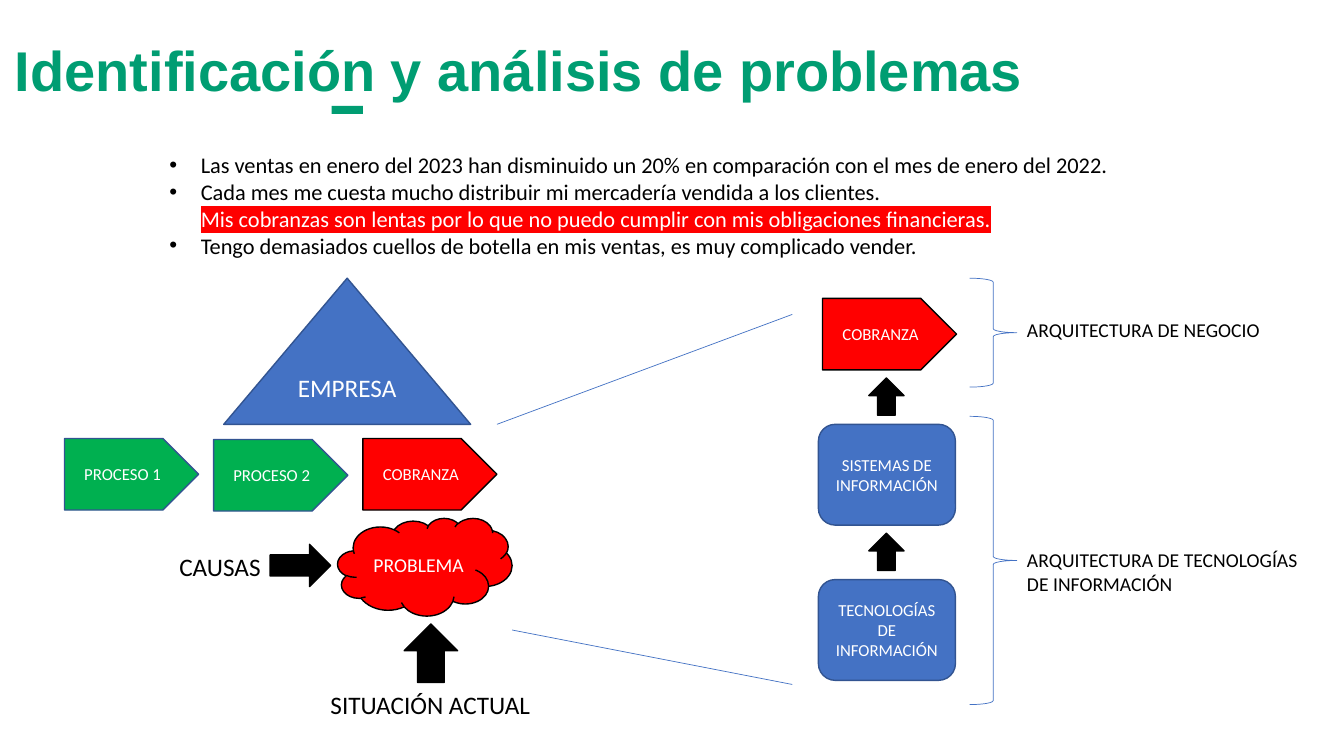
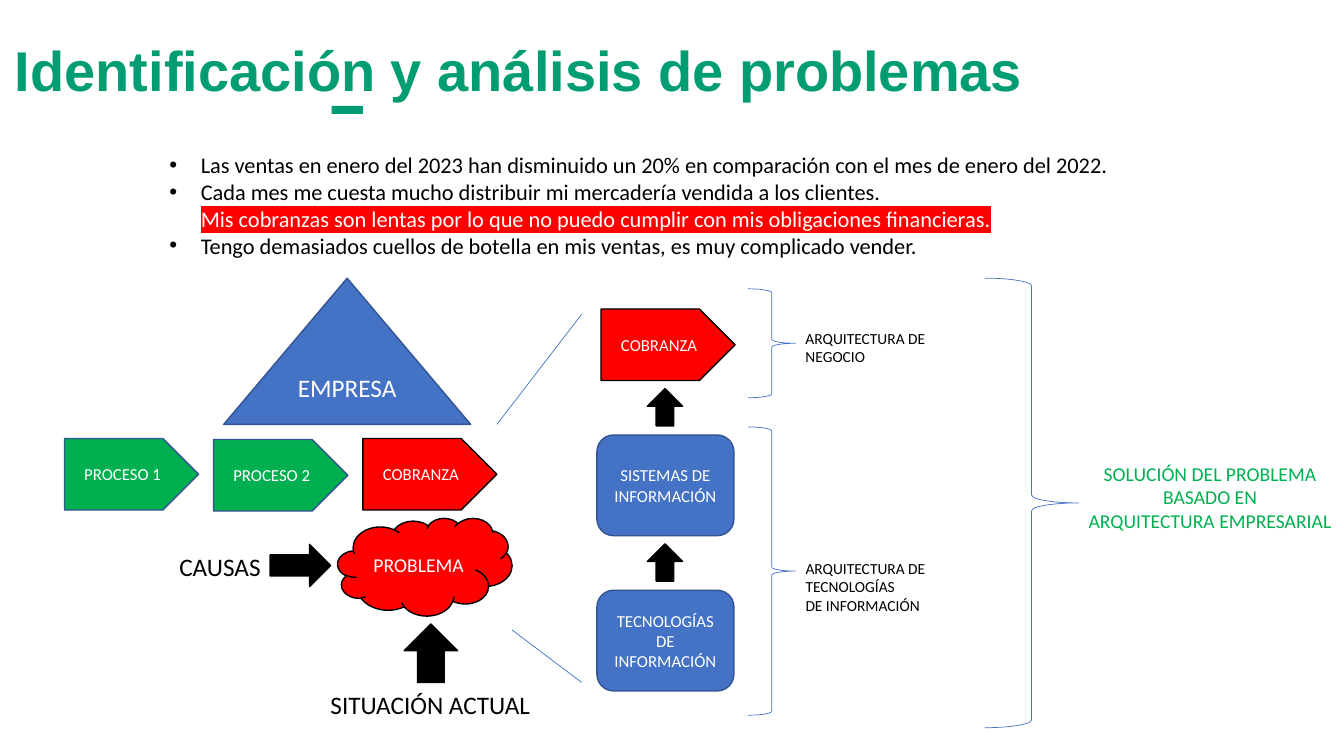
from pptx import Presentation
from pptx.dml.color import RGBColor
from pptx.enum import shapes, text
from pptx.oxml import parse_xml
from pptx.oxml.ns import nsdecls
from pptx.util import Pt

THEME = {
    "color": {"title": "009D72", "blue": "4472C4", "edge": "325491",
              "green": "00B050", "red": "FF0000", "black": "000000",
              "white": "FFFFFF"},
    "size": {"title": 40, "big": 18, "body": 16, "label": 14,
             "step": 12, "small": 11},
    "font": {"title": "Arial", "body": "Calibri"},
    "line": {"thin": 0.5, "edge": 1},
}
SHAPE = shapes.MSO_SHAPE
LEFT, MID = text.PP_ALIGN.LEFT, text.PP_ALIGN.CENTER
TOP, CENTER = text.MSO_ANCHOR.TOP, text.MSO_ANCHOR.MIDDLE
FIT = text.MSO_AUTO_SIZE.SHAPE_TO_FIT_TEXT


def rgb(name):
    return RGBColor.from_string(THEME["color"][name])


def put(slide, kind, box, words="", size="step", color="white", fill=None,
        edge=None, width="edge", align=MID, face="body", **frame):
    """Add a preset shape, or a text box when kind is None."""
    area = [Pt(v) for v in box]
    if kind is None:
        item = slide.shapes.add_textbox(*area)
    else:
        item = slide.shapes.add_shape(kind, *area)
        item.shadow.inherit = False
        if fill:
            item.fill.solid()
            item.fill.fore_color.rgb = rgb(fill)
        else:
            item.fill.background()
        if edge:
            item.line.color.rgb = rgb(edge)
            item.line.width = Pt(THEME["line"][width])
        else:
            item.line.fill.background()
    if words:
        body = item.text_frame
        body.text = words
        for key, val in ({"word_wrap": True, "vertical_anchor": CENTER} | frame).items():
            setattr(body, key, val)
        look = {"name": THEME["font"][face], "size": Pt(THEME["size"][size]),
                "bold": face == "title"}
        for para in body.paragraphs:
            para.alignment = align
            for run in para.runs:
                run.font.color.rgb = rgb(color)
                for key, val in look.items():
                    setattr(run.font, key, val)
    return item


NOTE = {"align": LEFT, "color": "black", "vertical_anchor": TOP, "auto_size": FIT}
TAG = NOTE | {"word_wrap": False}
BLUE = {"fill": "blue", "edge": "edge"}
GREEN = {"fill": "green", "edge": "edge"}
RED = {"fill": "red", "edge": "black"}
BLACK = {"fill": "black", "edge": "black"}
BRACE = {"edge": "blue", "width": "thin"}

FACTS = [
    "Las ventas en enero del 2023 han disminuido un 20% en comparación con el mes de enero del 2022.",
    "Cada mes me cuesta mucho distribuir mi mercadería vendida a los clientes.",
    "Mis cobranzas son lentas por lo que no puedo cumplir con mis obligaciones financieras.",
    "Tengo demasiados cuellos de botella en mis ventas, es muy complicado vender.",
]
MARKED = 2
INDENT = 22.5
PLATE = (95.8, 51.1)
STEPS = [("PROCESO 1", 313.2, GREEN), ("PROCESO 2", 313.9, GREEN),
         ("COBRANZA", 313.2, RED)]
BOXES = ["SISTEMAS DE\u00a0INFORMACIÓN".replace("\u00a0", " "),
         "TECNOLOGÍAS DE INFORMACIÓN"]
SCOPES = [  # brace top, brace height, label top, label width, height, words
    (198.7, 77.8, 223.9, 182.2, 24.5, "ARQUITECTURA DE NEGOCIO"),
    (297.4, 205.9, 388.1, 209.5, 41, "ARQUITECTURA DE TECNOLOGÍAS\nDE INFORMACIÓN"),
]
PAGES = [
    {"left": 584.6, "drop": 0, "size": "label", "end": 565.9, "low": 488.9},
    {"left": 426.4, "drop": 7.6, "size": "small", "end": 415.4, "low": 487.4},
]

deck = Presentation()
deck.slide_width, deck.slide_height = Pt(960), Pt(540)

for page in PAGES:
    slide = deck.slides.add_slide(deck.slide_layouts[6])

    # Title and facts
    head = put(slide, None, (3.6, 0, 814.3, 104.4),
               "Identificación y análisis de problemas", "title", "title",
               align=LEFT, face="title")
    head.text_frame.paragraphs[0].line_spacing = 0.9
    put(slide, SHAPE.RECTANGLE, (236.9, 75.6, 22.3, 5.8), fill="title")
    facts = put(slide, None, (113.8, 104.4, 733, 104.4), "\n".join(FACTS), "body", **NOTE)
    for i, para in enumerate(facts.text_frame.paragraphs):
        props = para._p.get_or_add_pPr()
        props.set("marL", str(Pt(INDENT)))
        props.set("indent", str(-Pt(INDENT)))
        for tag in ('buFont %s typeface="Arial"', 'buChar %s char="•"'):
            props.append(parse_xml(f"<a:{tag % nsdecls('a')}/>"))
        if i == MARKED:
            font = para.runs[0].font
            font.color.rgb = rgb("white")
            fill = para.runs[0]._r.rPr.find(
                "{http://schemas.openxmlformats.org/drawingml/2006/main}solidFill")
            fill.addnext(parse_xml(
                f'<a:highlight {nsdecls("a")}><a:srgbClr val="{THEME["color"]["red"]}"/>'
                "</a:highlight>"))

    # Company, its processes and the problem
    put(slide, SHAPE.ISOSCELES_TRIANGLE, (159.8, 198.7, 176.4, 104.4), "EMPRESA", "big", **BLUE)
    for i, (name, top, look) in enumerate(STEPS):
        put(slide, SHAPE.PENTAGON, (46.1 + 106.55 * i, top, *PLATE), name, **look)
    put(slide, SHAPE.CLOUD, (241.2, 370.1, 124.6, 69.8), "PROBLEMA", "label", **RED)
    put(slide, None, (229, 488.9, 158.4, 28.8), "SITUACIÓN ACTUAL", "big", **TAG)
    put(slide, SHAPE.UP_ARROW, (288.7, 445.7, 38.2, 41.8), **BLACK)
    put(slide, None, (121, 390.2, 72.7, 28.8), "CAUSAS", "big", **TAG)
    put(slide, SHAPE.RIGHT_ARROW, (193, 388.8, 43.2, 30.2), **BLACK)

    # Architecture stack
    left, drop = page["left"], page["drop"]
    put(slide, SHAPE.PENTAGON, (left + 2.9, 213.1 + drop, *PLATE), "COBRANZA", **RED)
    for i, name in enumerate(BOXES):
        top = 303.1 + drop + 110.9 * i
        put(slide, SHAPE.ROUNDED_RECTANGLE, (left, top, 97.9, 72), name, **BLUE)
        put(slide, SHAPE.UP_ARROW, (left + 36, top - 33.1, 25.2, 26.6), **BLACK)
    for ends in ((355, 303.1, page["end"], 224.6), (365.8, 450, page["end"], page["low"])):
        line = slide.shapes.add_connector(shapes.MSO_CONNECTOR.STRAIGHT, *map(Pt, ends))
        line.line.color.rgb = rgb("blue")
        line.line.width = Pt(THEME["line"]["thin"])
        line._element.spPr.append(parse_xml(f"<a:effectLst {nsdecls('a')}/>"))

    # Scope of each layer
    scale = THEME["size"][page["size"]] / THEME["size"]["label"]
    for top, tall, y, wide, high, words in SCOPES:
        put(slide, SHAPE.RIGHT_BRACE, (left + 108, top + drop, 33.8, tall), **BRACE)
        put(slide, None, (left + 141.9, y + drop, wide * scale, high * scale),
            words, page["size"], **TAG)

# Solution, on the last slide only
put(slide, SHAPE.RIGHT_BRACE, (703.4, 198.7, 67, 321.1), **BRACE)
put(slide, None, (767.5, 326.2, 193.7, 58.3),
    "SOLUCIÓN DEL PROBLEMA\nBASADO EN\nARQUITECTURA EMPRESARIAL", "label",
    **TAG | {"align": MID, "color": "green"})

deck.save("out.pptx")
